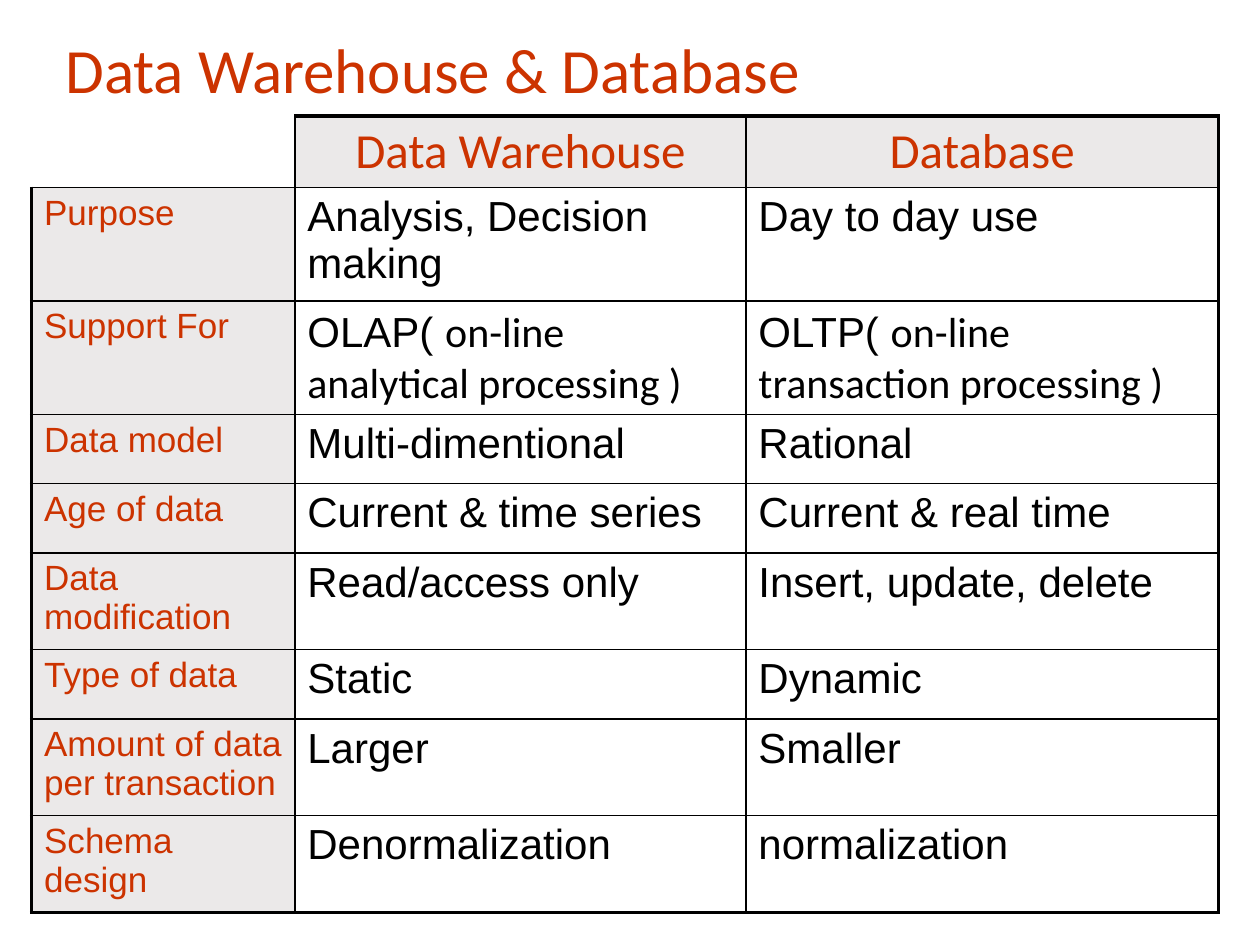
from lxml import etree
from pptx import Presentation
from pptx.dml.color import RGBColor
from pptx.enum.text import MSO_ANCHOR, PP_ALIGN
from pptx.oxml.ns import qn
from pptx.util import Inches, Pt

RED = RGBColor(0xCC, 0x33, 0x00)
BLACK = RGBColor(0, 0, 0)
WHITE = RGBColor(0xFF, 0xFF, 0xFF)
GREY = RGBColor(0xEB, 0xE9, 0xE9)
MIDDLE = MSO_ANCHOR.MIDDLE
CENTER, LEFT = PP_ALIGN.CENTER, PP_ALIGN.LEFT
THIN, THICK = 1, 2.25

# A bar in a text marks where the font changes.
ROWS = [
    ("", "Data Warehouse", "Database"),
    ("Purpose", "Analysis, Decision making", "Day to day use"),
    ("Support For", "OLAP( |on-line analytical processing )",
     "OLTP( |on-line transaction processing )"),
    ("Data model", "Multi-dimentional", "Rational"),
    ("Age of data", "Current & time series", "Current & real time"),
    ("Data modification", "Read/access only", "Insert, update, delete"),
    ("Type of data", "Static", "Dynamic"),
    ("Amount of data per transaction", "Larger", "Smaller"),
    ("Schema design", "Denormalization", "normalization"),
]
COLUMN_WIDTHS = [2.09, 3.58, 3.75]
MIN_ROW_HEIGHT = 0.55  # rows with more text grow to fit it
TABLE_HEIGHT = 6.32


def add_run(paragraph, text, font, size, color):
    run = paragraph.add_run()
    run.text = text
    run.font.name = font
    run.font.size = Pt(size)
    run.font.color.rgb = color


def set_borders(cell, widths):
    """Draw black cell borders; widths maps L, R, T, B to points, 0 for none."""
    properties = cell._tc.get_or_add_tcPr()
    for side, width in widths.items():
        line = etree.SubElement(properties, qn(f"a:ln{side}"), w=str(Pt(width)))
        if width:
            fill = etree.SubElement(line, qn("a:solidFill"))
            etree.SubElement(fill, qn("a:srgbClr"), val=str(BLACK))
        else:
            etree.SubElement(line, qn("a:noFill"))


prs = Presentation()
prs.slide_width, prs.slide_height = Inches(10), Inches(7.5)
slide = prs.slides.add_slide(prs.slide_layouts[6])

title = slide.shapes.add_textbox(
    Inches(0.42), Inches(-0.08), Inches(9), Inches(1.25)).text_frame
title.word_wrap = True
title.vertical_anchor = MIDDLE
add_run(title.paragraphs[0], "Data Warehouse & Database", "Calibri", 36, RED)

table_frame = slide.shapes.add_table(
    len(ROWS), len(COLUMN_WIDTHS), Inches(0.25), Inches(0.92),
    Inches(sum(COLUMN_WIDTHS)), Inches(MIN_ROW_HEIGHT * len(ROWS)))
table_frame.height = Inches(TABLE_HEIGHT)
table = table_frame.table
table.first_row = False
table.horz_banding = False
for column, width in zip(table.columns, COLUMN_WIDTHS):
    column.width = Inches(width)

last_row, last_column = len(ROWS) - 1, len(COLUMN_WIDTHS) - 1
for r, texts in enumerate(ROWS):
    for c, text in enumerate(texts):
        cell = table.cell(r, c)
        is_corner = r == 0 and c == 0
        if r == 0:
            fonts, size, color, align = ["Calibri"], 28, RED, CENTER
        elif c == 0:
            fonts, size, color, align = ["Arial"], 20, RED, LEFT
        else:
            fonts, size, color, align = ["Arial", "Calibri"], 24, BLACK, LEFT

        set_borders(cell, {
            "L": 0 if is_corner else THICK if c == 0 else THIN,
            "R": THICK if c == last_column else THIN,
            "T": 0 if is_corner else THICK if r == 0 else THIN,
            "B": THICK if r == last_row else THIN,
        })
        cell.fill.solid()
        is_heading = (r == 0 or c == 0) and not is_corner
        cell.fill.fore_color.rgb = GREY if is_heading else WHITE

        if text:
            paragraph = cell.text_frame.paragraphs[0]
            paragraph.alignment = align
            for part, font in zip(text.split("|"), fonts):
                add_run(paragraph, part, font, size, color)

prs.save("out.pptx")
